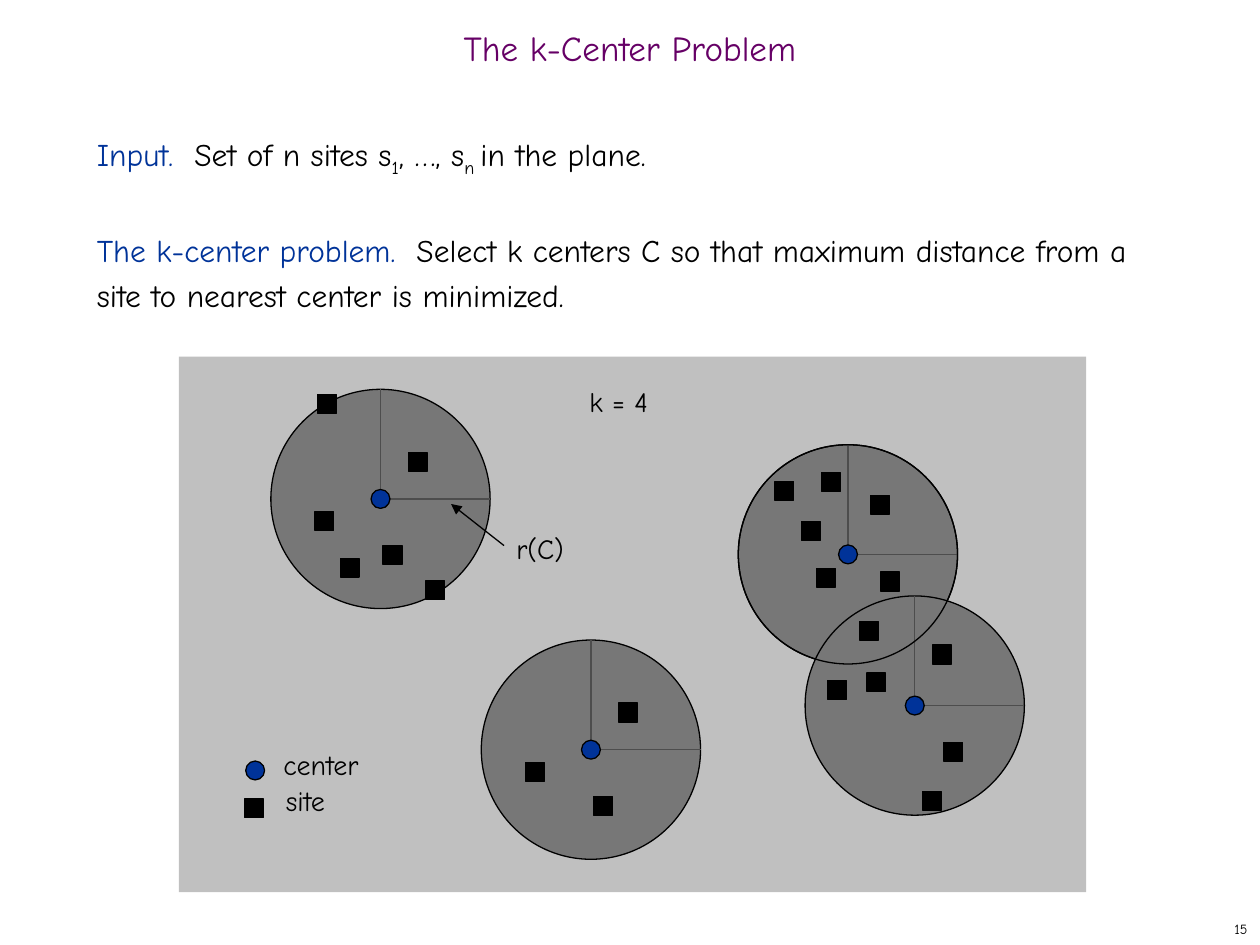
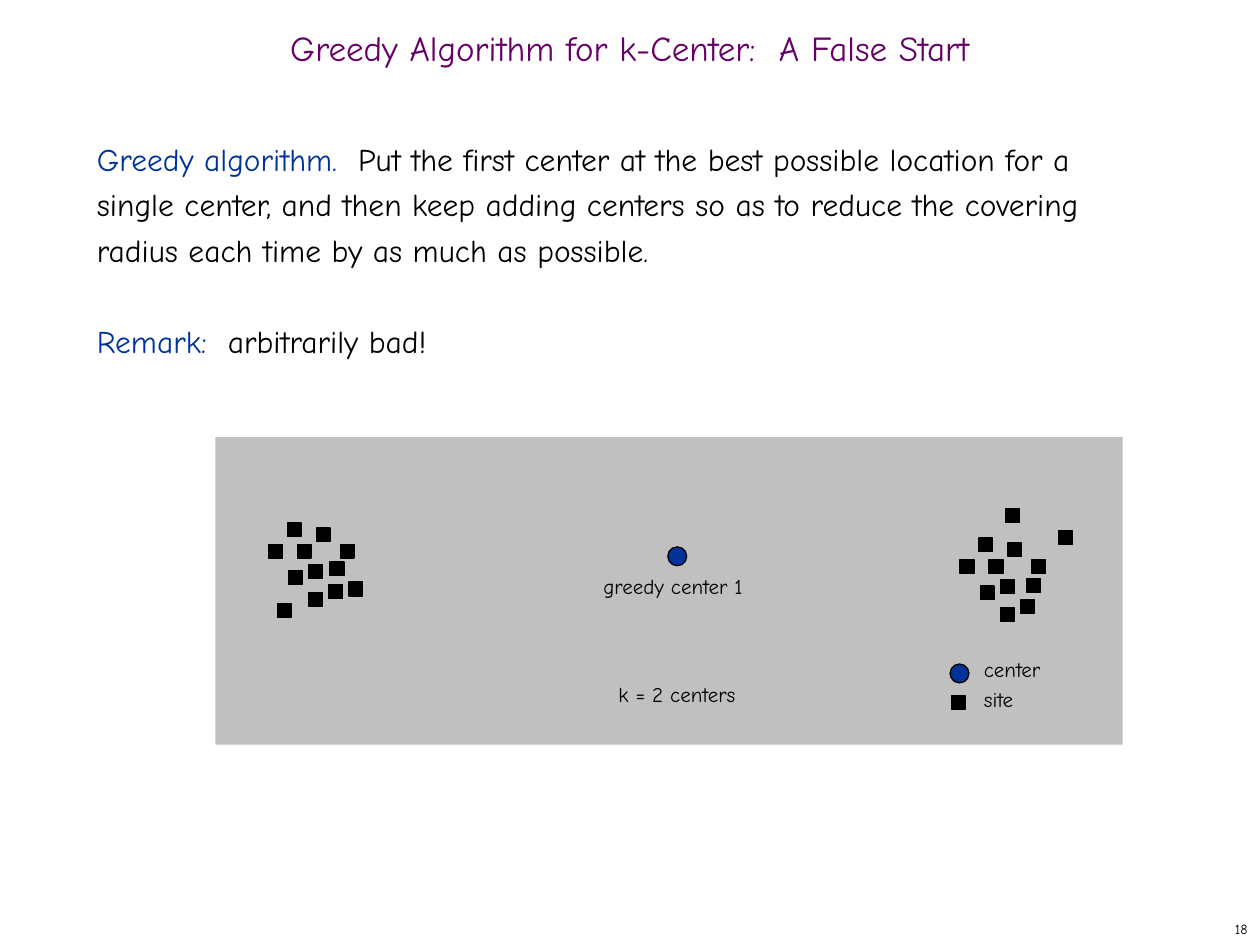
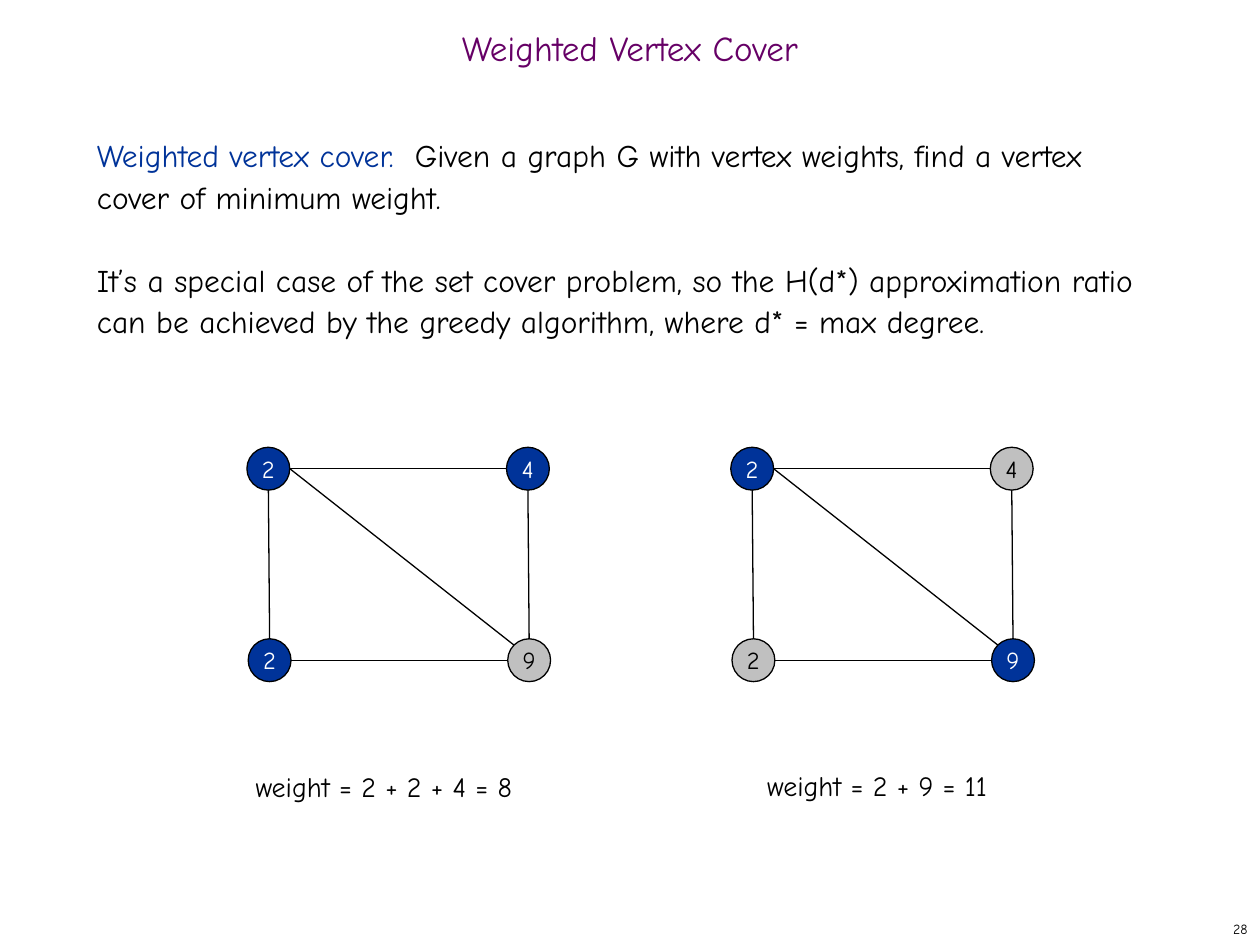
from dataclasses import dataclass
from typing import NamedTuple

from lxml import etree
from pptx import Presentation
from pptx.dml.color import RGBColor
from pptx.enum.shapes import MSO_CONNECTOR, MSO_SHAPE
from pptx.enum.text import MSO_ANCHOR, MSO_AUTO_SIZE, PP_ALIGN
from pptx.oxml.ns import qn
from pptx.util import Inches, Pt

RECT, OVAL = MSO_SHAPE.RECTANGLE, MSO_SHAPE.OVAL
STRAIGHT = MSO_CONNECTOR.STRAIGHT
LEFT, CENTER, RIGHT = PP_ALIGN.LEFT, PP_ALIGN.CENTER, PP_ALIGN.RIGHT
TOP, MIDDLE = MSO_ANCHOR.TOP, MSO_ANCHOR.MIDDLE
NO_FIT, GROW = MSO_AUTO_SIZE.NONE, MSO_AUTO_SIZE.SHAPE_TO_FIT_TEXT


@dataclass(frozen=True)
class Theme:
    font: str = "Comic Neue"
    black: str = "000000"
    white: str = "FFFFFF"
    blue: str = "003399"
    purple: str = "660066"
    panel: str = "C0C0C0"
    disk: str = "777777"
    spoke: str = "4D4D4D"
    speck: str = "010000"
    title: float = 20
    body: float = 18
    label: float = 16
    node: float = 14
    small: float = 12
    number: float = 8
    line: float = 0.75


class Run(NamedTuple):
    text: str
    ink: str = "000000"
    sub: bool = False


class Box(NamedTuple):
    x: float
    y: float
    w: float
    h: float


class Point(NamedTuple):
    x: float
    y: float


class Label(NamedTuple):
    text: str
    box: Box
    size: float


class Node(NamedTuple):
    text: str
    x: float
    y: float


class Graph(NamedTuple):
    left: float
    cover: tuple[int, ...]
    label: Label


class Edge(NamedTuple):
    """Two node indexes, each with a place on the node as width and height shares."""
    a: int
    out: Point
    b: int
    into: Point


T = Theme()
DOT = 0.15
SPECK = 0.11
NODE = 0.34
RADIUS = 0.87

# k-center slide
DISKS = [Point(3.02, 3.96), Point(6.73, 4.4), Point(7.26, 5.6), Point(4.69, 5.95)]
RING = DISKS[1]
SITES = [
    (3.38, 4.61), (6.82, 4.93), (7.32, 6.28), (2.52, 3.13), (3.04, 4.33),
    (2.5, 4.06), (2.7, 4.43), (3.24, 3.59), (6.36, 4.14), (6.99, 4.54),
    (7.49, 5.89), (6.52, 3.75), (6.88, 5.34), (6.48, 4.51), (6.57, 5.4),
    (6.91, 3.93), (7.4, 5.12), (6.15, 3.82), (4.71, 6.32), (4.17, 6.05),
    (4.91, 5.58), (1.94, 6.34),
]

# greedy slide: both groups hold the same cluster plus a few extra sites
CLUSTER = [
    (2.28, 4.15), (2.36, 4.32), (2.45, 4.48), (2.51, 4.19), (2.45, 4.7),
    (2.13, 4.32), (2.29, 4.53), (2.61, 4.64), (2.7, 4.32),
]
SHIFT = Point(5.49, 0.12)
EXTRA = [
    (7.98, 4.04), (8.15, 4.59), (8.4, 4.21), (2.62, 4.46),
    (2.77, 4.62), (2.2, 4.79), (7.55, 5.52),
]

# vertex cover slide
NODES = [Node("2", 0, 3.55), Node("4", 2.06, 3.55),
         Node("2", 0.01, 5.07), Node("9", 2.07, 5.07)]
WEST, EAST = Point(0, 0.5), Point(1, 0.5)
NORTH, SOUTH = Point(0.5, 0), Point(0.5, 1)
CORNER = Point(0.15, 0.15)
EDGES = [
    Edge(0, EAST, 1, WEST), Edge(0, EAST, 3, CORNER), Edge(2, EAST, 3, WEST),
    Edge(1, SOUTH, 3, NORTH), Edge(0, SOUTH, 2, NORTH),
]
GRAPHS = [
    Graph(1.96, (0, 1, 2),
          Label("weight = 2 + 2 + 4 = 8", Box(1.93, 6.06, 2.42, 0.37), T.label)),
    Graph(5.8, (0, 3),
          Label("weight = 2 + 9 = 11", Box(5.99, 6.05, 2.11, 0.37), T.label)),
]


def color(code: str) -> RGBColor:
    return RGBColor.from_string(code)


def place(box: Box) -> list[int]:
    return [Inches(v) for v in box]


def write(frame, paras: list[list[Run]], *, size: float, align=LEFT, anchor=TOP,
          wrap: bool = False, fit=NO_FIT, pitch=None, gap: float = 0) -> None:
    """Fill a text frame; gap is the space in points before later paragraphs."""
    frame.word_wrap, frame.auto_size = wrap, fit
    frame.vertical_anchor = anchor
    for i, runs in enumerate(paras):
        para = frame.add_paragraph() if i else frame.paragraphs[0]
        para.alignment = align
        if pitch:
            para.line_spacing = pitch
        if i and gap:
            para.space_before = Pt(gap)
        for item in runs:
            run = para.add_run()
            run.text = item.text
            run.font.name, run.font.size = T.font, Pt(size)
            run.font.color.rgb = color(item.ink)
            if item.sub:
                run.font._element.set("baseline", "-25000")


def draw(slide, kind, box: Box, *, fill: str = "", line: str = ""):
    shape = slide.shapes.add_shape(kind, *place(box))
    shape.shadow.inherit = False
    if fill:
        shape.fill.solid()
        shape.fill.fore_color.rgb = color(fill)
    else:
        shape.fill.background()
    if line:
        shape.line.color.rgb = color(line)
        shape.line.width = Pt(T.line)
    else:
        shape.line.fill.background()
    return shape


def join(slide, a: Point, b: Point, ink: str, arrow: bool = False) -> None:
    line = slide.shapes.add_connector(STRAIGHT, *place(Box(*a, *b)))
    line.line.color.rgb = color(ink)
    line.line.width = Pt(T.line)
    if arrow:
        etree.SubElement(line.line._get_or_add_ln(), qn("a:tailEnd"), type="triangle")
    etree.SubElement(line._element.spPr, qn("a:effectLst"))


def note(slide, label: Label) -> None:
    frame = slide.shapes.add_textbox(*place(label.box)).text_frame
    write(frame, [[Run(label.text)]], size=label.size, fit=GROW)


def disk(slide, mid: Point, fill: str) -> None:
    box = Box(mid.x - RADIUS, mid.y - RADIUS, 2 * RADIUS, 2 * RADIUS)
    draw(slide, OVAL, box, fill=fill, line=T.black)


def dot(slide, x: float, y: float) -> None:
    draw(slide, OVAL, Box(x, y, DOT, DOT), fill=T.blue, line=T.black)


def sites(slide, spots: list[tuple[float, float]], side: float, fill: str) -> None:
    for x, y in spots:
        draw(slide, RECT, Box(x, y, side, side), fill=fill, line=T.black)


def start(deck, title: str, number: int, paras: list[list[Run]], pitch, gap: float):
    """Add a slide with its title, page number and body text."""
    slide = deck.slides.add_slide(deck.slide_layouts[5])
    head = slide.shapes.title
    head.left, head.top, head.width, head.height = place(Box(0, 0.17, 10, 0.5))
    write(head.text_frame, [[Run(title, T.purple)]], size=T.title, align=CENTER,
          anchor=MIDDLE, wrap=True, pitch=0.7)
    page = slide.shapes.add_textbox(*place(Box(7.92, 7.25, 2.08, 0.25)))
    write(page.text_frame, [[Run(str(number))]], size=T.number, align=RIGHT,
          anchor=MIDDLE)
    body = slide.shapes.add_textbox(*place(Box(0.67, 1, 8.58, 5.92)))
    write(body.text_frame, paras, size=T.body, wrap=True, pitch=pitch, gap=gap)
    return slide


def centers(deck) -> None:
    slide = start(deck, "The k-Center Problem", 15, [
        [Run("Input.  ", T.blue), Run("Set of n sites s"), Run("1", sub=True),
         Run(", …, s"), Run("n ", sub=True), Run("in the plane.")],
        [Run("The k-center problem.  ", T.blue),
         Run("Select k centers C so that maximum distance from a site to "
             "nearest center is minimized.")],
    ], Pt(26), 26)
    draw(slide, RECT, Box(1.42, 2.83, 7.2, 4.25), fill=T.panel)
    for mid in DISKS:
        disk(slide, mid, T.disk)
    for mid in DISKS:
        join(slide, mid, Point(mid.x + RADIUS, mid.y), T.spoke)
        join(slide, mid, Point(mid.x, mid.y - RADIUS), T.spoke)
        dot(slide, mid.x - DOT / 2, mid.y - DOT / 2)
    disk(slide, RING, "")
    join(slide, Point(4, 4.33), Point(3.58, 4), T.black, arrow=True)
    sites(slide, SITES, DOT, T.black)
    dot(slide, 1.95, 6.04)
    for label in (
        Label("center", Box(2.15, 5.88, 0.89, 0.41), T.label),
        Label("site", Box(2.17, 6.17, 0.6, 0.41), T.label),
        Label("r(C)", Box(4, 4.17, 0.6, 0.41), T.label),
        Label("k = 4", Box(4.58, 3, 0.7, 0.41), T.label),
    ):
        note(slide, label)


def greedy(deck) -> None:
    slide = start(deck, "Greedy Algorithm for k-Center:  A False Start", 18, [
        [Run("Greedy algorithm.  ", T.blue),
         Run("Put the first center at the best possible location for a single "
             "center, and then keep adding centers so as to reduce the covering "
             "radius each time by as much as possible.")],
        [Run("Remark:  ", T.blue), Run("arbitrarily bad!")],
    ], Pt(26), 26)
    draw(slide, RECT, Box(1.71, 3.47, 7.2, 2.44), fill=T.panel)
    moved = [(x + SHIFT.x, y + SHIFT.y) for x, y in CLUSTER]
    sites(slide, CLUSTER + moved + EXTRA, SPECK, T.speck)
    dot(slide, 5.3, 4.34)
    dot(slide, 7.54, 5.27)
    for label in (
        Label("greedy center 1", Box(4.69, 4.5, 1.38, 0.34), T.small),
        Label("k = 2 centers", Box(4.81, 5.36, 1.22, 0.34), T.small),
        Label("center", Box(7.71, 5.16, 0.7, 0.34), T.small),
        Label("site", Box(7.71, 5.4, 0.51, 0.34), T.small),
    ):
        note(slide, label)


def port(graph: Graph, index: int, share: Point) -> Point:
    node = NODES[index]
    return Point(graph.left + node.x + share.x * NODE, node.y + share.y * NODE)


def cover(deck) -> None:
    slide = start(deck, "Weighted Vertex Cover", 28, [
        [Run("Weighted vertex cover.  ", T.blue),
         Run("Given a graph G with vertex weights, find a vertex cover of "
             "minimum weight.")],
        [Run("It’s a special case of the set cover problem, so the H(d*) "
             "approximation ratio can be achieved by the greedy algorithm, "
             "where d* = max degree.")],
    ], 1.1, 23.7)
    for graph in GRAPHS:
        for edge in EDGES:
            join(slide, port(graph, edge.a, edge.out),
                 port(graph, edge.b, edge.into), T.black)
        for i, node in enumerate(NODES):
            fill, ink = (T.blue, T.white) if i in graph.cover else (T.panel, T.black)
            ball = draw(slide, OVAL, Box(graph.left + node.x, node.y, NODE, NODE),
                        fill=fill, line=T.black)
            write(ball.text_frame, [[Run(node.text, ink)]], size=T.node,
                  align=CENTER, anchor=MIDDLE)
        note(slide, graph.label)


def main() -> None:
    deck = Presentation()
    deck.slide_width, deck.slide_height = Inches(10), Inches(7.5)
    for build in (centers, greedy, cover):
        build(deck)
    deck.save("out.pptx")


if __name__ == "__main__":
    main()
